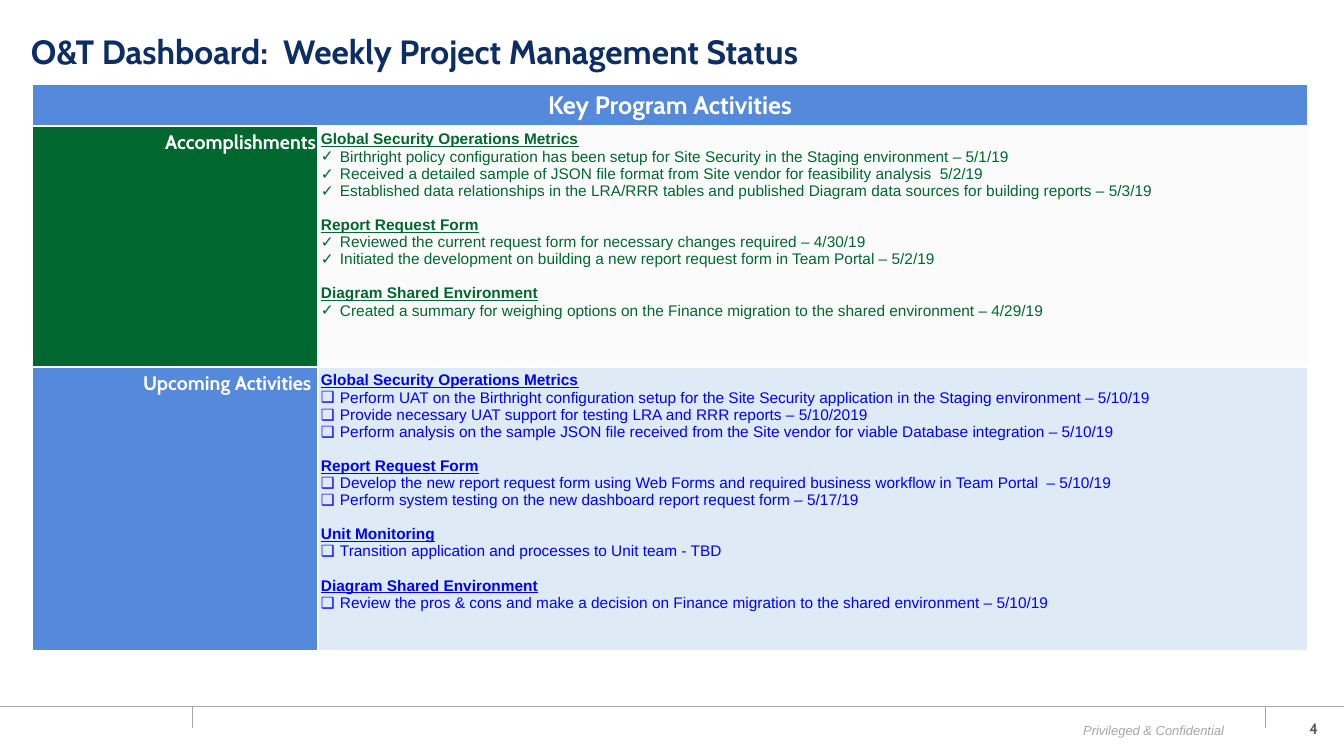
from lxml import etree
from pptx import Presentation
from pptx.dml.color import RGBColor
from pptx.enum.shapes import MSO_CONNECTOR
from pptx.enum.text import MSO_ANCHOR, PP_ALIGN
from pptx.oxml.ns import qn
from pptx.util import Emu, Pt

LEFT, CENTER, RIGHT = PP_ALIGN.LEFT, PP_ALIGN.CENTER, PP_ALIGN.RIGHT
TOP, MIDDLE = MSO_ANCHOR.TOP, MSO_ANCHOR.MIDDLE
STRAIGHT = MSO_CONNECTOR.STRAIGHT

EMU_PER_PX = 914400 / 100.8
HEADING_FONT, BODY_FONT = "Cabin", "Arial"
WHITE, NAVY, BLUE, GREEN = "FFFFFF", "0C2E65", "5589DB", "00682F"
LINK_BLUE, PALE_BLUE, PALE_GRAY = "0000FF", "DEEBF7", "FBFBFB"
RULE_GRAY, NUMBER_GRAY = "A6A6A6", "595959"
BULLET_INDENT, GROUP_GAP = 19, 17

ACCOMPLISHMENTS = [
    ("Global Security Operations Metrics", [
        "Birthright policy configuration has been setup for Site Security in the Staging environment – 5/1/19",
        "Received a detailed sample of JSON file format from Site vendor for feasibility analysis  5/2/19",
        "Established data relationships in the LRA/RRR tables and published Diagram data sources "
        "for building reports – 5/3/19",
    ]),
    ("Report Request Form", [
        "Reviewed the current request form for necessary changes required – 4/30/19",
        "Initiated the development on building a new report request form in Team Portal – 5/2/19",
    ]),
    ("Diagram Shared Environment", [
        "Created a summary for weighing options on the Finance migration to the shared environment – 4/29/19",
    ]),
]
UPCOMING = [
    ("Global Security Operations Metrics", [
        "Perform UAT on the Birthright configuration setup for the Site Security application "
        "in the Staging environment – 5/10/19",
        "Provide necessary UAT support for testing LRA and RRR reports – 5/10/2019",
        "Perform analysis on the sample JSON file received from the Site vendor "
        "for viable Database integration – 5/10/19",
    ]),
    ("Report Request Form", [
        "Develop the new report request form using Web Forms and required business workflow "
        "in Team Portal  – 5/10/19",
        "Perform system testing on the new dashboard report request form – 5/17/19",
    ]),
    ("Unit Monitoring", [
        "Transition application and processes to Unit team - TBD",
    ]),
    ("Diagram Shared Environment", [
        "Review the pros & cons and make a decision on Finance migration to the shared environment – 5/10/19",
    ]),
]
SECTIONS = [
    ("Accomplishments", GREEN, ACCOMPLISHMENTS, "✓", GREEN, PALE_GRAY),
    ("Upcoming Activities ", BLUE, UPCOMING, "❑", LINK_BLUE, PALE_BLUE),
]


def px(length):
    return Emu(round(length * EMU_PER_PX))


def color(value):
    return RGBColor.from_string(value)


def write(paragraph, text, size, fill, font=HEADING_FONT, bold=False, italic=False,
          underline=False, align=LEFT, gap=0, line_spacing=1.0):
    paragraph.alignment = align
    paragraph.space_before = px(gap)
    paragraph.line_spacing = line_spacing
    run = paragraph.add_run()
    run.text = text
    run.font.size = Pt(size)
    run.font.name = font
    run.font.bold = bold
    run.font.italic = italic
    run.font.underline = underline
    run.font.color.rgb = color(fill)


def add_bullet(paragraph, symbol):
    properties = paragraph._p.get_or_add_pPr()
    properties.set("marL", str(px(BULLET_INDENT)))
    properties.set("indent", str(-px(BULLET_INDENT)))
    etree.SubElement(properties, qn("a:buFont"), typeface=BODY_FONT)
    etree.SubElement(properties, qn("a:buChar"), char=symbol)


def add_text(slide, box, text, anchor=TOP, wrap=True, **style):
    frame = slide.shapes.add_textbox(*map(px, box)).text_frame
    frame.word_wrap = wrap
    frame.vertical_anchor = anchor
    write(frame.paragraphs[0], text, **style)


def add_rule(slide, start_x, start_y, end_x, end_y):
    rule = slide.shapes.add_connector(STRAIGHT, px(start_x), px(start_y), px(end_x), px(end_y))
    rule.line.color.rgb = color(RULE_GRAY)
    rule.line.width = Pt(0.25)
    etree.SubElement(rule._element.spPr, qn("a:effectLst"))


def format_cell(cell, fill, insets, anchor=TOP):
    cell.fill.solid()
    cell.fill.fore_color.rgb = color(fill)
    cell.vertical_anchor = anchor
    cell.margin_left, cell.margin_top, cell.margin_right, cell.margin_bottom = map(px, insets)
    properties = cell._tc.get_or_add_tcPr()
    for position, side in enumerate(("lnL", "lnR", "lnT", "lnB")):
        border = etree.Element(qn(f"a:{side}"), w=str(Pt(1)))
        solid = etree.SubElement(border, qn("a:solidFill"))
        etree.SubElement(solid, qn("a:srgbClr"), val=WHITE)
        properties.insert(position, border)


def write_groups(frame, groups, symbol, text_color):
    paragraph = frame.paragraphs[0]
    for index, (heading, items) in enumerate(groups):
        if index:
            paragraph = frame.add_paragraph()
        write(paragraph, heading, 11, text_color, font=BODY_FONT, bold=True,
              underline=True, gap=GROUP_GAP if index else 0)
        for item in items:
            paragraph = frame.add_paragraph()
            write(paragraph, item, 11, text_color, font=BODY_FONT)
            add_bullet(paragraph, symbol)


def add_activities(slide, box, label_width, row_heights):
    table = slide.shapes.add_table(len(row_heights), 2, *map(px, box)).table
    table.first_row = False
    table.horz_banding = False
    for column, width in zip(table.columns, (label_width, box[2] - label_width)):
        column.width = px(width)
    for row, height in zip(table.rows, row_heights):
        row.height = px(height)

    header = table.cell(0, 0)
    header.merge(table.cell(0, 1))
    for cell in table.rows[0].cells:
        format_cell(cell, BLUE, (10, 5, 10, 5), anchor=MIDDLE)
    write(header.text_frame.paragraphs[0], "Key Program Activities", 18, WHITE,
          bold=True, align=CENTER)

    for row, (label, label_fill, groups, symbol, text_color, fill) in enumerate(SECTIONS, 1):
        label_cell, detail_cell = table.cell(row, 0), table.cell(row, 1)
        format_cell(label_cell, label_fill, (1, 5, 2, 5))
        write(label_cell.text_frame.paragraphs[0], label, 14, WHITE, bold=True, align=RIGHT)
        format_cell(detail_cell, fill, (3, 5, 3, 5))
        write_groups(detail_cell.text_frame, groups, symbol, text_color)


def add_footer(slide, box):
    left, top, width, height = box
    right = left + width
    add_rule(slide, left, top, right, top)
    for tick in (left + 192, right - 79):
        add_rule(slide, tick, top, tick, top + 22)
    add_text(slide, (right - 276, top + 12, 166, 26), "Privileged & Confidential", wrap=False,
             size=9.3, fill=RULE_GRAY, font=BODY_FONT, italic=True, align=RIGHT)
    add_text(slide, (right - 57, top + 9, 41, 28), "4", wrap=False,
             size=10.7, fill=NUMBER_GRAY, bold=True, align=RIGHT)


def main():
    presentation = Presentation()
    presentation.slide_width, presentation.slide_height = px(1344), px(756)
    slide = presentation.slides.add_slide(presentation.slide_layouts[6])
    add_footer(slide, (0, 706, 1344, 50))
    add_text(slide, (21, 23, 1210, 62), "O&T Dashboard:  Weekly Project Management Status",
             anchor=MIDDLE, size=24, fill=NAVY, bold=True, line_spacing=0.9)
    add_activities(slide, (32, 84, 1276, 567), 286, (42, 241, 284))
    presentation.save("out.pptx")


if __name__ == "__main__":
    main()
